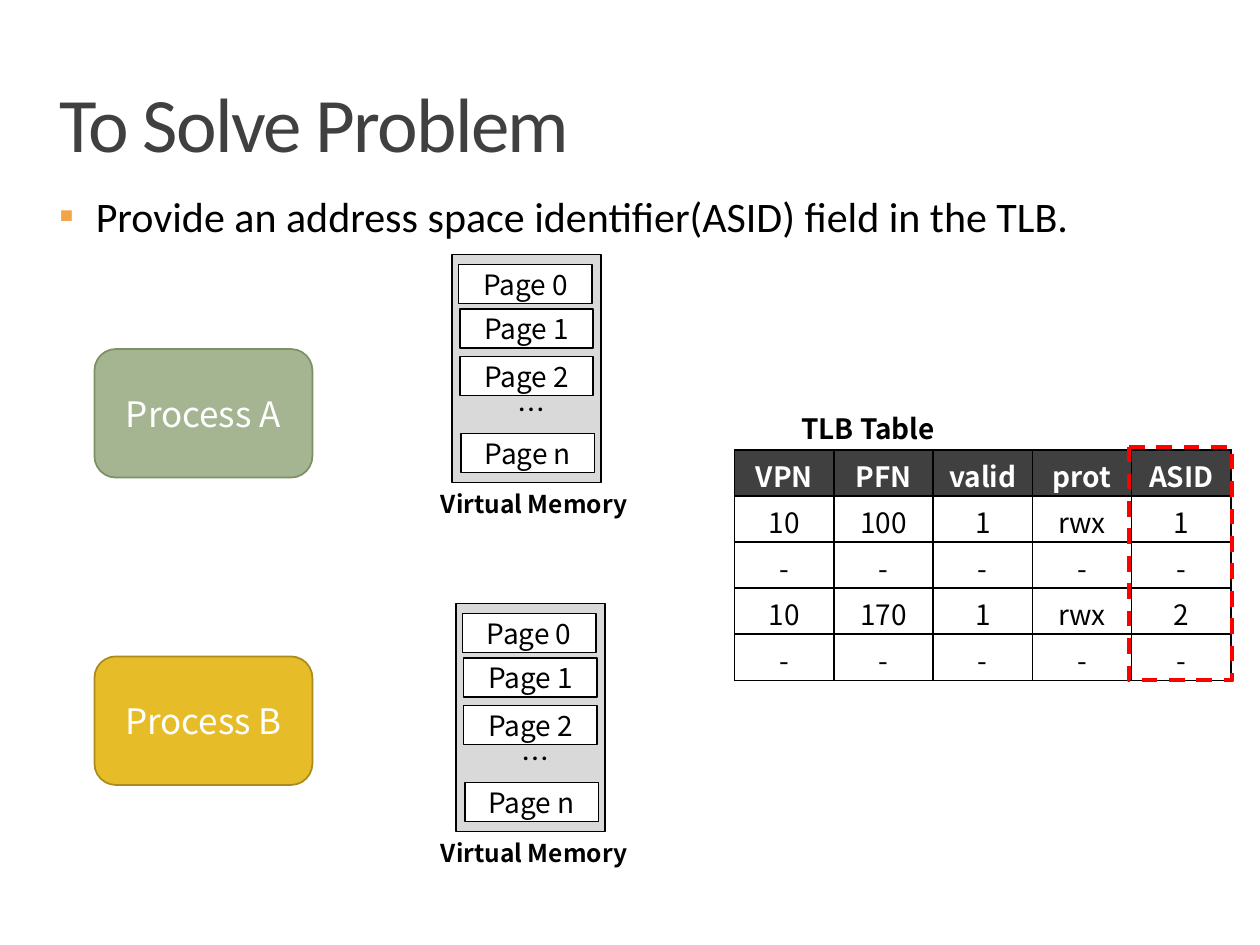
from dataclasses import dataclass

from lxml import etree
from pptx import Presentation
from pptx import util as u
from pptx.dml.color import RGBColor
from pptx.enum import dml, shapes, text
from pptx.oxml.ns import qn


@dataclass(frozen=True)
class Theme:
    heading_font: str = "Calibri"
    diagram_font: str = "Noto Sans CJK KR"
    title_size: float = 44
    body_size: float = 24
    process_size: float = 20
    label_size: float = 16
    caption_size: float = 14
    black: str = "000000"
    white: str = "FFFFFF"
    dark: str = "404040"
    memory: str = "D9D9D9"
    bullet: str = "F3A447"
    highlight: str = "FF0000"
    green: str = "A5B592"
    green_line: str = "7D9263"
    gold: str = "E7BC29"
    gold_line: str = "AB8B1E"


class SlideBuilder:
    def __init__(self, slide, theme):
        self.slide = slide
        self.theme = theme

    def place(self, shape, left, top, width, height):
        shape.left, shape.top = u.Inches(left), u.Inches(top)
        shape.width, shape.height = u.Inches(width), u.Inches(height)

    def style(self, paragraph, size, color, font=None, bold=False, align=text.PP_ALIGN.CENTER):
        name = font or self.theme.diagram_font
        paragraph.alignment = align
        paragraph.font.size = u.Pt(size)
        paragraph.font.name = name
        paragraph.font.bold = bold
        paragraph.font.color.rgb = RGBColor.from_string(color)
        properties = paragraph._p.pPr.find(qn("a:defRPr"))
        etree.SubElement(properties, qn("a:ea"), typeface=name)
        return properties

    def placeholder(self, shape, wording, box, size, color):
        self.place(shape, *box)
        frame = shape.text_frame
        frame.text = wording
        frame.word_wrap = True
        frame.auto_size = text.MSO_AUTO_SIZE.NONE
        frame.vertical_anchor = text.MSO_ANCHOR.TOP
        frame.margin_left = frame.margin_right = frame.margin_top = frame.margin_bottom = 0
        paragraph = frame.paragraphs[0]
        properties = self.style(paragraph, size, color, self.theme.heading_font,
                                align=text.PP_ALIGN.LEFT)
        return frame, paragraph, properties

    def title(self, wording, box):
        frame, paragraph, properties = self.placeholder(
            self.slide.shapes.title, wording, box, self.theme.title_size, self.theme.dark)
        frame.margin_top = u.Inches(0.04)
        paragraph.line_spacing = 0.8
        properties.set("spc", "-100")

    def bullet(self, wording, box):
        _, paragraph, properties = self.placeholder(
            self.slide.placeholders[1], wording, box, self.theme.body_size, self.theme.black)
        paragraph.space_before = u.Pt(18)
        layout = paragraph._p.pPr
        layout.set("marL", str(u.Inches(0.29)))
        layout.set("indent", str(-u.Inches(0.29)))
        color = etree.Element(qn("a:buClr"))
        etree.SubElement(color, qn("a:srgbClr"), val=self.theme.bullet)
        properties.addprevious(color)
        properties.addprevious(etree.Element(qn("a:buFont"), typeface=self.theme.heading_font))
        properties.addprevious(etree.Element(qn("a:buChar"), char="▪"))

    def box(self, left, top, width, height, fill=None, line="000000", weight=1, rounded=False):
        kind = shapes.MSO_SHAPE.ROUNDED_RECTANGLE if rounded else shapes.MSO_SHAPE.RECTANGLE
        shape = self.slide.shapes.add_shape(
            kind, u.Inches(left), u.Inches(top), u.Inches(width), u.Inches(height))
        shape.shadow.inherit = False
        if fill:
            shape.fill.solid()
            shape.fill.fore_color.rgb = RGBColor.from_string(fill)
        else:
            shape.fill.background()
        shape.line.color.rgb = RGBColor.from_string(line)
        shape.line.width = u.Pt(weight)
        return shape

    def box_text(self, shape, wording, size, color, margin=0.1):
        frame = shape.text_frame
        frame.text = wording
        frame.word_wrap = True
        frame.vertical_anchor = text.MSO_ANCHOR.MIDDLE
        frame.margin_left = frame.margin_right = u.Inches(margin)
        self.style(frame.paragraphs[0], size, color)

    def label(self, wording, left, top, width, height, size, bold=False,
              align=text.PP_ALIGN.CENTER):
        shape = self.slide.shapes.add_textbox(
            u.Inches(left), u.Inches(top), u.Inches(width), u.Inches(height))
        frame = shape.text_frame
        frame.text = wording
        frame.word_wrap = True
        self.style(frame.paragraphs[0], size, self.theme.black, bold=bold, align=align)

    def process(self, wording, top, fill, line):
        shape = self.box(0.75, top, 1.73, 1.02, fill, line, rounded=True)
        self.box_text(shape, wording, self.theme.process_size, self.theme.white)

    def memory(self, left, top):
        self.box(left, top, 1.18, 1.81, self.theme.memory)
        pages = [("0", 0.05, 0.08), ("1", 0.06, 0.43), ("2", 0.06, 0.81), ("n", 0.07, 1.42)]
        for number, x, y in pages:
            page = self.box(left + x, top + y, 1.06, 0.31, self.theme.white)
            self.box_text(page, f"Page {number}", self.theme.label_size, self.theme.black, margin=0)
        self.label("…", left + 0.42, top + 1.05, 1.16, 0.37, self.theme.label_size,
                   align=text.PP_ALIGN.LEFT)
        self.label("Virtual Memory", 3.28, top + 1.81, 1.92, 0.34,
                   self.theme.caption_size, bold=True)

    def cell_borders(self, cell):
        properties = cell._tc.get_or_add_tcPr()
        for index, side in enumerate(("lnL", "lnR", "lnT", "lnB")):
            line = etree.Element(qn(f"a:{side}"), w=str(u.Pt(1)))
            fill = etree.SubElement(line, qn("a:solidFill"))
            etree.SubElement(fill, qn("a:srgbClr"), val=self.theme.black)
            properties.insert(index, line)

    def table(self, rows, left, top, width, height):
        table = self.slide.shapes.add_table(
            len(rows), len(rows[0]), u.Inches(left), u.Inches(top),
            u.Inches(width), u.Inches(height)).table
        for row_index, values in enumerate(rows):
            header = row_index == 0
            for column_index, value in enumerate(values):
                cell = table.cell(row_index, column_index)
                cell.text = value
                cell.margin_top, cell.margin_bottom = u.Inches(0.04), 0
                cell.fill.solid()
                cell.fill.fore_color.rgb = RGBColor.from_string(
                    self.theme.dark if header else self.theme.white)
                self.style(cell.text_frame.paragraphs[0], self.theme.label_size,
                           self.theme.white if header else self.theme.black, bold=header)
                self.cell_borders(cell)


theme = Theme()
presentation = Presentation()
presentation.slide_width, presentation.slide_height = u.Inches(10), u.Inches(7.5)
slide = presentation.slides.add_slide(presentation.slide_layouts[1])
builder = SlideBuilder(slide, theme)

# Heading and statement
builder.title("To Solve Problem", (0.47, 0.7, 9.06, 0.79))
builder.bullet("Provide an address space identifier(ASID) field in the TLB.",
               (0.47, 1.51, 9.06, 5.59))

# Processes and their virtual memory
builder.process("Process A", 2.77, theme.green, theme.green_line)
builder.process("Process B", 5.21, theme.gold, theme.gold_line)
builder.memory(3.59, 2.02)
builder.memory(3.62, 4.79)

# TLB table
builder.label("TLB Table", 6.26, 3.22, 1.54, 0.37, theme.label_size, bold=True,
              align=text.PP_ALIGN.LEFT)
unused = ["-"] * 5
builder.table([
    ["VPN", "PFN", "valid", "prot", "ASID"],
    ["10", "100", "1", "rwx", "1"],
    unused,
    ["10", "170", "1", "rwx", "2"],
    unused,
], 5.83, 3.57, 3.94, 1.83)

# Highlight around the ASID column
highlight = builder.box(8.96, 3.55, 0.82, 1.85, line=theme.highlight, weight=2.25, rounded=True)
highlight.adjustments[0] = 0
highlight.line.dash_style = dml.MSO_LINE.DASH

presentation.save("out.pptx")
